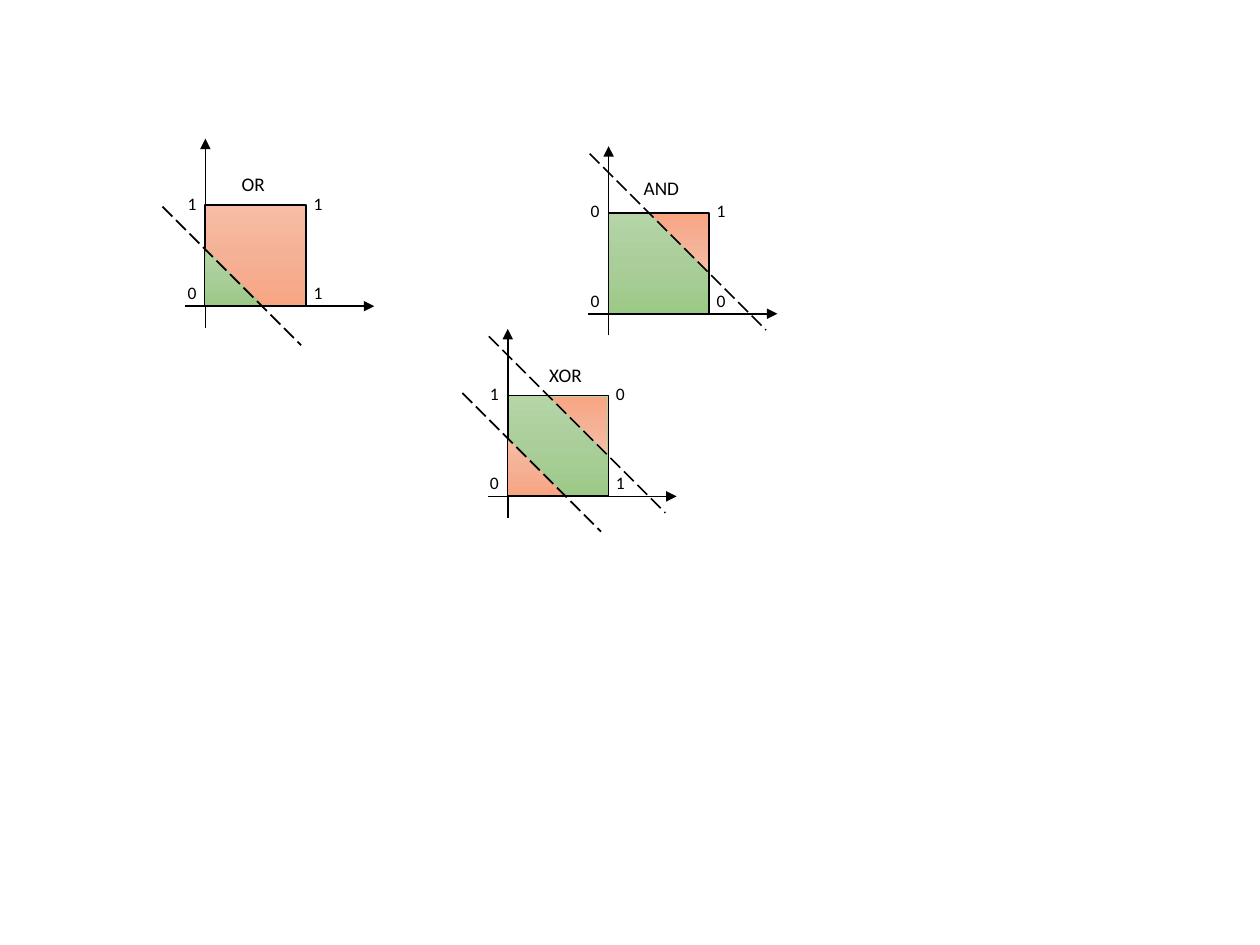
import copy
from dataclasses import dataclass

import pptx
import pptx.dml.color
import pptx.enum.dml
import pptx.enum.shapes
import pptx.enum.text
import pptx.oxml
import pptx.oxml.ns
import pptx.util

Inches = pptx.util.Inches
MSO = pptx.enum.shapes.MSO_SHAPE
SIDE = 0.8
CORNER = 0.45
BLACK = "000000"
GREEN = ("B5D5A7", "AACE9A", "9CC987")
ORANGE = ("F7BDA5", "F5B196", "F8A582")


@dataclass(frozen=True)
class Cut:
    upper: bool
    dx: float
    dy: float
    length: float


@dataclass(frozen=True)
class Gate:
    name: str
    x: float
    y: float
    name_dx: float
    name_dy: float
    name_width: float
    left: tuple[str, str]
    right: tuple[str, str]
    square: tuple[str, str, str]
    corner: tuple[str, str, str]
    cuts: tuple[Cut, ...]


UPPER = Cut(True, -0.15, -1.27, 1.4)
GATES = (
    Gate("OR", 1.63, 2.43, 0.19, -1.11, 0.39, ("1", "0"), ("1", "1"),
         ORANGE, GREEN, (Cut(False, -0.34, -0.79, 1.1),)),
    Gate("AND", 4.83, 2.49, 0.18, -1.14, 0.49, ("0", "0"), ("1", "0"),
         GREEN, ORANGE, (UPPER,)),
    Gate("XOR", 4.03, 3.94, 0.23, -1.11, 0.47, ("1", "0"), ("0", "1"),
         GREEN, ORANGE, (UPPER, Cut(False, -0.36, -0.82, 1.1))),
)


def rgb(value: str) -> pptx.dml.color.RGBColor:
    return pptx.dml.color.RGBColor.from_string(value)


def add_line(s, x1: float, y1: float, x2: float, y2: float, dashed: bool = False) -> None:
    c = s.shapes.add_connector(pptx.enum.shapes.MSO_CONNECTOR.STRAIGHT,
                               Inches(x1), Inches(y1), Inches(x2), Inches(y2))
    c.line.color.rgb = rgb(BLACK)
    c.line.width = pptx.util.Pt(1)
    if dashed:
        c.line.dash_style = pptx.enum.dml.MSO_LINE.LONG_DASH
    else:
        head = pptx.oxml.parse_xml(
            f'<a:tailEnd {pptx.oxml.ns.nsdecls("a")} type="triangle"/>')
        c.line._get_or_add_ln().append(head)
    c._element.spPr.append(
        pptx.oxml.parse_xml(f'<a:effectLst {pptx.oxml.ns.nsdecls("a")}/>'))


def add_area(s, kind, x: float, y: float, size: float, colors: tuple[str, str, str]):
    sp = s.shapes.add_shape(kind, Inches(x), Inches(y), Inches(size), Inches(size))
    sp.shadow.inherit = False
    sp.fill.gradient()
    sp.fill.gradient_angle = 270
    stops = sp._element.spPr.find(".//" + pptx.oxml.ns.qn("a:gsLst"))
    stops.insert(1, copy.deepcopy(stops[0]))
    for stop, color, position in zip(sp.fill.gradient_stops, colors, (0, 0.5, 1)):
        stop.color.rgb = rgb(color)
        stop.position = position
    return sp


def add_text(s, x: float, y: float, w: float, h: float,
             lines: tuple[str, ...], size: int, gap: int = 0) -> None:
    tf = s.shapes.add_textbox(Inches(x), Inches(y), Inches(w), Inches(h)).text_frame
    tf.word_wrap = False
    tf.auto_size = pptx.enum.text.MSO_AUTO_SIZE.SHAPE_TO_FIT_TEXT
    for i, line in enumerate(lines):
        p = tf.add_paragraph() if i else tf.paragraphs[0]
        p.space_before = pptx.util.Pt(gap if i else 0)
        r = p.add_run()
        r.text = line
        for key, value in {"name": "Calibri", "size": pptx.util.Pt(size)}.items():
            setattr(r.font, key, value)
        r.font.color.rgb = rgb(BLACK)


def add_corner(s, g: Gate, cut: Cut) -> None:
    dx, dy = (0.34, -0.79) if cut.upper else (0, -0.46)
    sp = add_area(s, MSO.ISOSCELES_TRIANGLE, g.x + dx, g.y + dy, CORNER, g.corner)
    sp.adjustments[0] = 0
    sp.line.fill.background()
    if cut.upper:
        for flip in ("flipH", "flipV"):
            sp._element.spPr.xfrm.set(flip, "1")


def add_gate(s, g: Gate) -> None:
    add_line(s, g.x - 0.16, g.y, g.x + 1.34, g.y)
    add_line(s, g.x, g.y + 0.17, g.x, g.y - 1.33)
    sp = add_area(s, MSO.RECTANGLE, g.x, g.y - SIDE, SIDE, g.square)
    sp.line.color.rgb = rgb(BLACK)
    sp.line.width = pptx.util.Pt(1)
    for dx, digits in ((-0.24, g.left), (0.76, g.right)):
        add_text(s, g.x + dx, g.y - 0.95, 0.27, 0.98, digits, 10, 39)
    for cut in g.cuts:
        add_corner(s, g, cut)
        x, y = g.x + cut.dx, g.y + cut.dy
        add_line(s, x, y, x + cut.length, y + cut.length, dashed=True)
    add_text(s, g.x + g.name_dx, g.y + g.name_dy, g.name_width, 0.29, (g.name,), 11)


def main() -> None:
    prs = pptx.Presentation()
    prs.slide_width, prs.slide_height = Inches(10), Inches(7.5)
    s = prs.slides.add_slide(prs.slide_layouts[6])
    for gate in GATES:
        add_gate(s, gate)
    prs.save("out.pptx")


if __name__ == "__main__":
    main()
